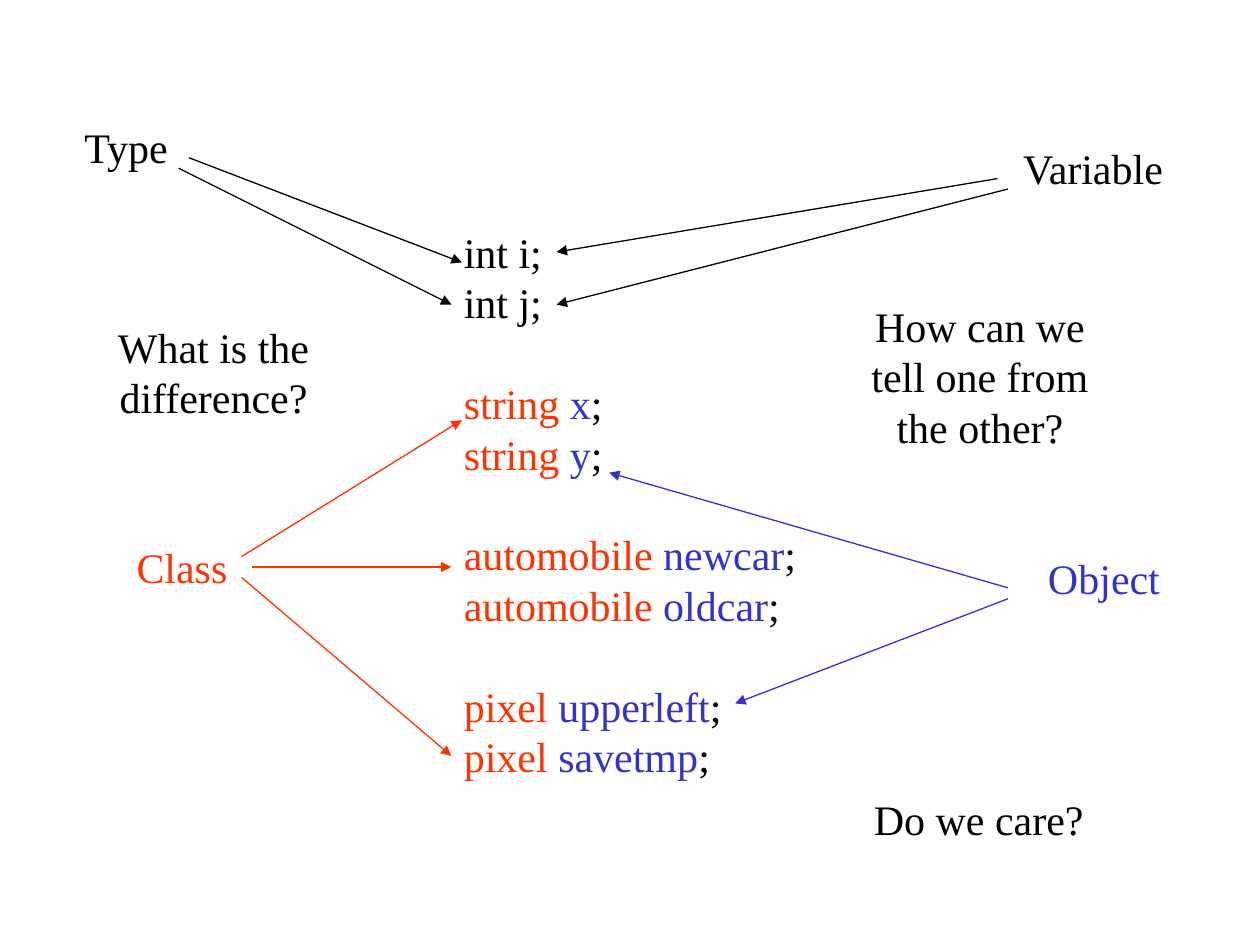
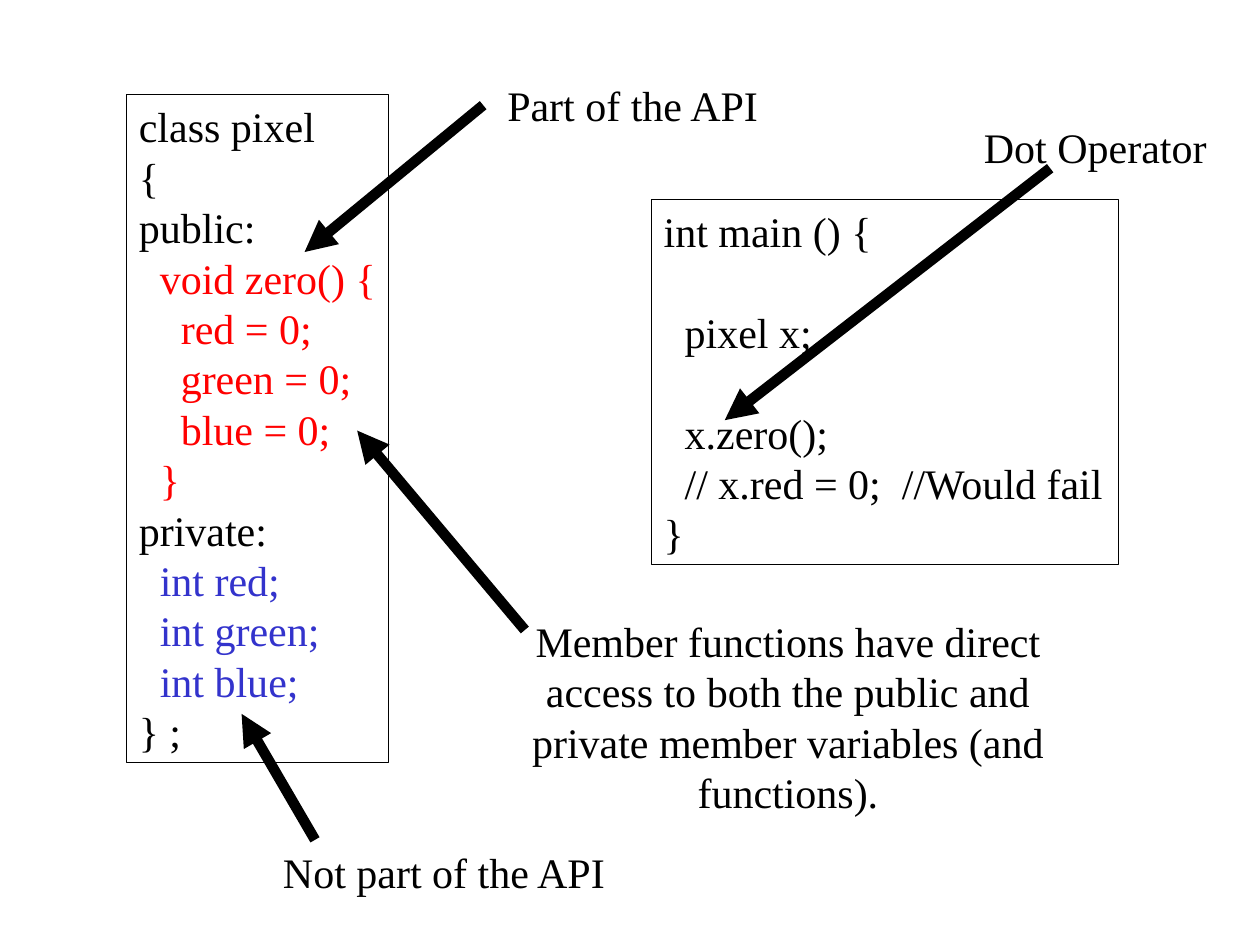
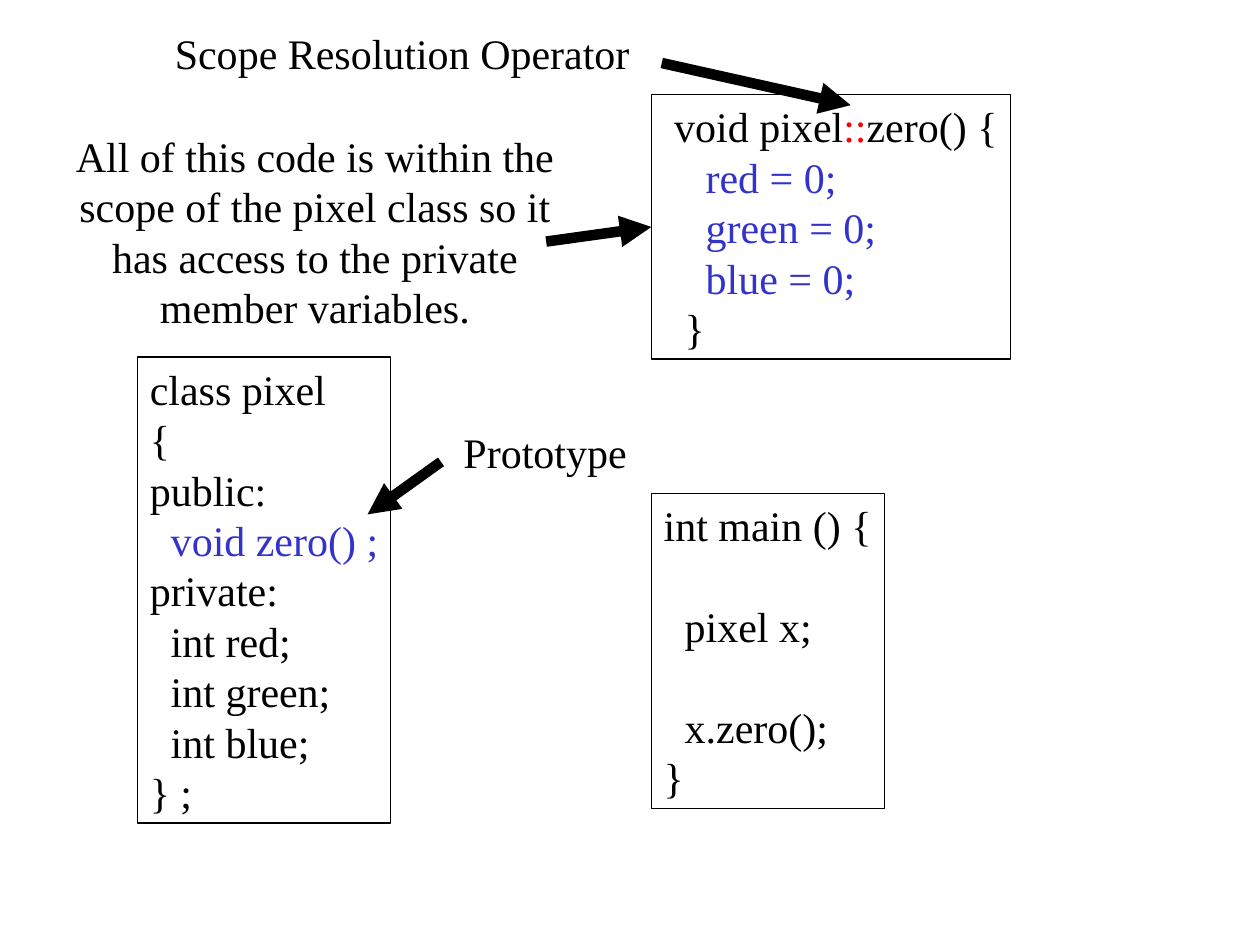
from dataclasses import dataclass

from lxml.etree import SubElement
from pptx import Presentation
from pptx.dml.color import RGBColor
from pptx.enum.shapes import MSO_CONNECTOR as Connector
from pptx.enum.shapes import MSO_SHAPE as Shape
from pptx.enum.text import MSO_ANCHOR as Anchor
from pptx.enum.text import MSO_AUTO_SIZE as AutoSize
from pptx.enum.text import PP_ALIGN as Align
from pptx.oxml.ns import qn
from pptx.util import Cm, Pt


@dataclass(frozen=True)
class Theme:
    font: str = "Times New Roman"
    size: float = 24
    pitch: float = 28.8
    thin: float = 0.75
    thick: float = 6
    black: RGBColor = RGBColor(0x00, 0x00, 0x00)
    orange: RGBColor = RGBColor(0xFF, 0x33, 0x00)
    red: RGBColor = RGBColor(0xFF, 0x00, 0x00)
    blue: RGBColor = RGBColor(0x33, 0x33, 0xCC)


theme = Theme()
black, orange, red, blue = theme.black, theme.orange, theme.red, theme.blue


def add_text(page, place, groups, framed=False, align=Align.LEFT, wrapped_rows=0):
    left, top, width = (Cm(value) for value in place)
    rows = wrapped_rows or sum(len(group) for group in groups) + len(groups) - 1
    height = Pt(theme.pitch * rows) + Cm(0.25)
    if framed:
        box = page.shapes.add_shape(Shape.RECTANGLE, left, top, width, height)
        box.shadow.inherit = False
        box.fill.background()
        box.line.color.rgb = black
        box.line.width = Pt(theme.thin)
    else:
        box = page.shapes.add_textbox(left, top, width, height)
    frame = box.text_frame
    frame.word_wrap = wrapped_rows > 0
    frame.auto_size = AutoSize.SHAPE_TO_FIT_TEXT
    frame.vertical_anchor = Anchor.TOP if framed else Anchor.MIDDLE
    para = frame.paragraphs[0]
    for group_index, group in enumerate(groups):
        for line_index, line in enumerate(group):
            if group_index or line_index:
                para = frame.add_paragraph()
            para.alignment = align
            para.line_spacing = Pt(theme.pitch)
            para.space_before = Pt(theme.pitch if group_index and not line_index else 0)
            for text, color in line:
                span = para.add_run()
                span.text = text
                span.font.name = theme.font
                span.font.size = Pt(theme.size)
                span.font.color.rgb = color
    return box


def add_arrow(page, points, color, weight):
    arrow = page.shapes.add_connector(Connector.STRAIGHT, *(Cm(value) for value in points))
    arrow.line.color.rgb = color
    arrow.line.width = Pt(weight)
    SubElement(arrow.line._get_or_add_ln(), qn("a:tailEnd"), type="triangle")
    SubElement(arrow._element.spPr, qn("a:effectLst"))
    return arrow


deck = Presentation()
deck.slide_width, deck.slide_height = Cm(25.4), Cm(19.05)
blank = deck.slide_layouts[6]

types_page = deck.slides.add_slide(blank)
declarations = [
    [("string ", "x"), ("string ", "y")],
    [("automobile ", "newcar"), ("automobile ", "oldcar")],
    [("pixel ", "upperleft"), ("pixel ", "savetmp")],
]
code = [[[("int i;", black)], [("int j;", black)]]]
for pair in declarations:
    code.append([[(kind, orange), (name, blue), (";", black)] for kind, name in pair])
add_text(types_page, (9.1, 4.44, 7.21), code)

type_labels = [
    ("Type", (1.37, 2.33, 2.34), black, 0),
    ("Variable", (20.27, 2.75, 3.53), black, 0),
    ("Object", (20.82, 11.01, 2.87), blue, 0),
    ("Class", (2.45, 10.79, 2.44), orange, 0),
    ("What is the difference?", (1.7, 6.35, 5.21), black, 2),
    ("How can we tell one from the other?", (17.15, 5.93, 5.21), black, 3),
    ("Do we care?", (17.27, 15.88, 4.92), black, 0),
]
for text, place, color, rows in type_labels:
    add_text(types_page, place, [[[(text, color)]]], align=Align.CENTER, wrapped_rows=rows)

type_arrows = [
    (black, (3.81, 3.18, 9.31, 5.29)),
    (black, (3.6, 3.39, 9.1, 6.14)),
    (black, (20.11, 3.6, 11.22, 5.08)),
    (black, (20.32, 3.81, 11.22, 6.14)),
    (blue, (20.32, 11.85, 12.28, 9.53)),
    (blue, (20.32, 12.07, 14.82, 14.18)),
    (orange, (4.87, 11.22, 9.31, 8.47)),
    (orange, (4.87, 11.64, 9.1, 15.24)),
    (orange, (5.08, 11.43, 9.1, 11.43)),
]
for color, points in type_arrows:
    add_arrow(types_page, points, color, theme.thin)

class_head = [[(text, black)] for text in ("class pixel", "{", "public:")]
private_head = [[("private:", black)]]
class_end = [[("} ;", black)]]
fields = ("  int red;", "  int green;", "  int blue;")
resets = ("    red = 0;", "    green = 0;", "    blue = 0;")
main_head = [[[("int main () {", black)]], [[("  pixel x;", black)]]]
main_call = [[("  x.zero();", black)]]
main_end = [[("}", black)]]

api_page = deck.slides.add_slide(blank)
zero_inline = [[(text, red)] for text in ("  void zero() {", *resets, "  }")]
blue_fields = [[(text, blue)] for text in fields]
add_text(api_page, (2.55, 1.91, 5.28),
         [class_head + zero_inline + private_head + blue_fields + class_end], framed=True)
failing_line = [[("  // x.red = 0;  //Would fail", black)]]
add_text(api_page, (13.13, 4.02, 9.42),
         main_head + [main_call + failing_line + main_end], framed=True)

scope_page = deck.slides.add_slide(blank)
prototype = [[("  ", black), ("void zero() ;", blue)]]
black_fields = [[(text, black)] for text in fields]
add_text(scope_page, (2.77, 7.2, 5.11),
         [class_head + prototype + private_head + black_fields + class_end], framed=True)
add_text(scope_page, (13.13, 9.95, 4.7), main_head + [main_call + main_end], framed=True)
zero_outside = [[(" void pixel", black), ("::", red), ("zero() {", black)]]
zero_outside += [[(text, blue)] for text in resets] + [[("  }", black)]]
zero_box = add_text(scope_page, (13.13, 1.91, 7.24), [zero_outside], framed=True)

notes = [
    (api_page, "Member functions have direct access to both the public and private "
     "member variables (and functions).", (9.74, 12.28, 12.29), 4),
    (api_page, "Part of the API", (9.9, 1.48, 5.71), 0),
    (api_page, "Not part of the API", (5.38, 16.93, 7.14), 0),
    (api_page, "Dot Operator", (19.53, 2.33, 5.1), 0),
    (scope_page, "Prototype", (9, 8.47, 3.98), 0),
    (scope_page, "Scope Resolution Operator", (3.22, 0.42, 9.78), 0),
    (scope_page, "All of this code is within the scope of the pixel class so it has "
     "access to the private member variables.", (1.27, 2.5, 10.16), 4),
]
for page, text, place, rows in notes:
    add_text(page, place, [[[(text, black)]]], align=Align.CENTER, wrapped_rows=rows)

note_arrows = [
    (api_page, (10.58, 12.7, 7.2, 8.68)),
    (api_page, (6.35, 16.93, 4.87, 14.39)),
    (api_page, (9.74, 2.12, 6.14, 5.08)),
    (api_page, (21.17, 3.39, 14.61, 8.47)),
    (scope_page, (8.89, 9.31, 7.41, 10.37)),
    (scope_page, (13.34, 1.27, 17.15, 2.12)),
]
for page, points in note_arrows:
    add_arrow(page, points, black, theme.thick)
access_arrow = add_arrow(scope_page, (11.01, 4.87, 13.13, 4.66), black, theme.thick)
access_arrow.end_connect(zero_box, 1)

deck.save("out.pptx")
